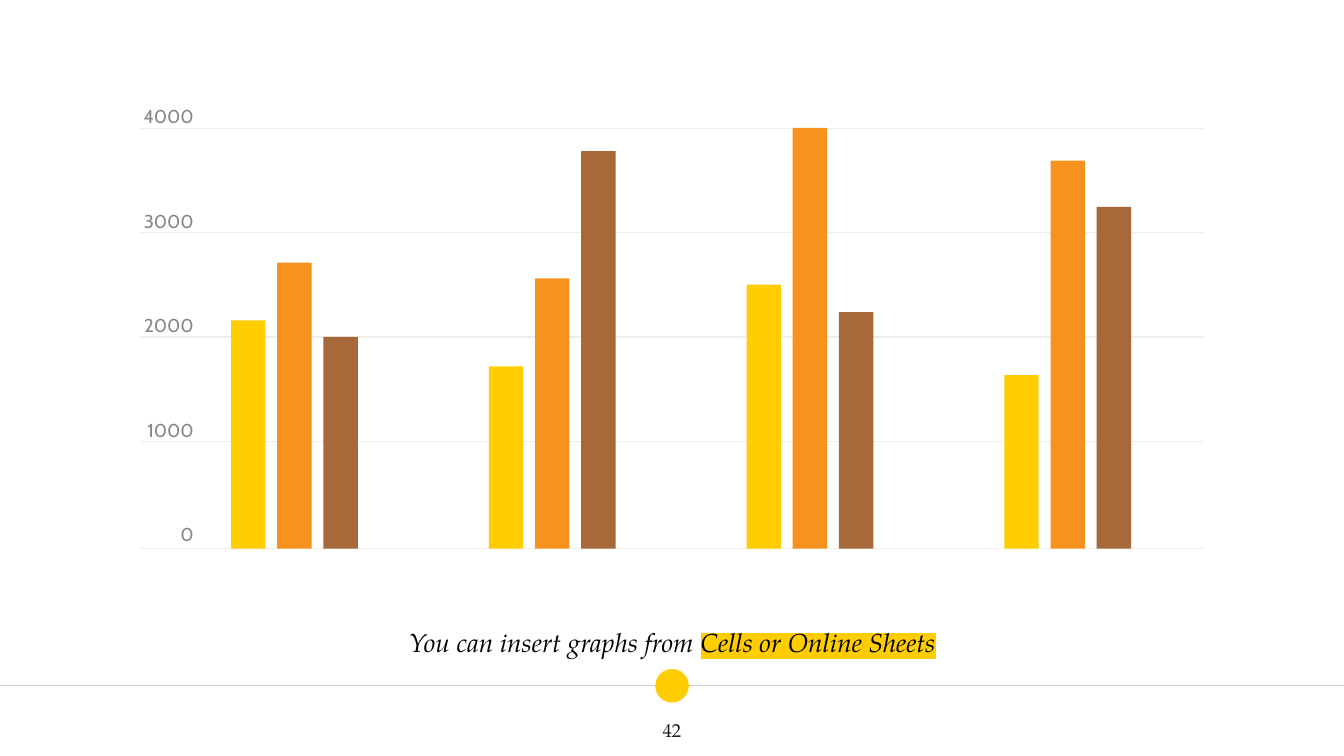
from dataclasses import dataclass

from lxml import etree
from pptx import Presentation
from pptx.dml.color import RGBColor
from pptx.enum.shapes import MSO_CONNECTOR, MSO_SHAPE
from pptx.enum.text import MSO_ANCHOR, PP_ALIGN
from pptx.oxml.ns import qn
from pptx.slide import Slide
from pptx.util import Pt

STRAIGHT = MSO_CONNECTOR.STRAIGHT
RECTANGLE, OVAL = MSO_SHAPE.RECTANGLE, MSO_SHAPE.OVAL
TOP, MIDDLE, BOTTOM = MSO_ANCHOR.TOP, MSO_ANCHOR.MIDDLE, MSO_ANCHOR.BOTTOM
CENTER, RIGHT = PP_ALIGN.CENTER, PP_ALIGN.RIGHT


@dataclass(frozen=True)
class Theme:
    yellow: str = "FFCD00"
    orange: str = "F6921D"
    brown: str = "A7693A"
    grid: str = "F0EEE9"
    rule: str = "CCCCCC"
    axis_text: str = "8A8682"
    caption_text: str = "000000"
    page_text: str = "1D1D1B"
    serif: str = "TeX Gyre Pagella"
    sans: str = "Cabin"
    caption_size: float = 14
    small_size: float = 10
    line_width: float = 0.75


@dataclass(frozen=True)
class Box:
    left: float
    top: float
    width: float
    height: float

    def lengths(self) -> tuple[Pt, Pt, Pt, Pt]:
        return Pt(self.left), Pt(self.top), Pt(self.width), Pt(self.height)


@dataclass(frozen=True)
class Series:
    color: str
    values: tuple[int, ...]


@dataclass(frozen=True)
class Line:
    text: str
    highlighted: str = ""
    before: float = 0
    after: float = 0


THEME = Theme()
SLIDE_WIDTH, SLIDE_HEIGHT = 720, 405
FOOTER_Y = 367.4

SERIES = (
    Series(THEME.yellow, (2170, 1735, 2510, 1650)),
    Series(THEME.orange, (2720, 2570, 4000, 3690)),
    Series(THEME.brown, (2015, 3780, 2250, 3250)),
)
AXIS_MAX = 4000
BASELINE, CHART_TOP = 294, 68.6
FIRST_BAR_LEFT, BAR_WIDTH = 123.75, 18.45
SERIES_STEP, GROUP_STEP = 24.75, 138.1
GRID_LEFT, GRID_RIGHT = 75, 645
GRID_YS = (68.75, 124.7, 180.6, 236.5, 293.75)
LABEL_GAP = 44


def add_rule(slide: Slide, left: float, right: float, y: float, color: str) -> None:
    rule = slide.shapes.add_connector(STRAIGHT, Pt(left), Pt(y), Pt(right), Pt(y))
    rule.line.color.rgb = RGBColor.from_string(color)
    rule.line.width = Pt(THEME.line_width)
    etree.SubElement(rule.element.spPr, qn("a:effectLst"))


def add_filled(slide: Slide, preset: MSO_SHAPE, box: Box, color: str) -> None:
    """Add a borderless shape in one colour."""
    shape = slide.shapes.add_shape(preset, *box.lengths())
    shape.shadow.inherit = False
    shape.fill.solid()
    shape.fill.fore_color.rgb = RGBColor.from_string(color)
    shape.line.fill.background()


def add_text(slide: Slide, box: Box, lines: list[Line], *, font: str, size: float,
             color: str, align: PP_ALIGN = CENTER, anchor: MSO_ANCHOR = MIDDLE,
             inset: float = 7.2, italic: bool = False) -> None:
    frame = slide.shapes.add_textbox(*box.lengths()).text_frame
    frame.word_wrap = True
    frame.vertical_anchor = anchor
    frame.margin_left = frame.margin_right = Pt(inset)
    frame.margin_top = frame.margin_bottom = Pt(inset)
    for index, line in enumerate(lines):
        paragraph = frame.add_paragraph() if index else frame.paragraphs[0]
        paragraph.alignment = align
        paragraph.space_before = Pt(line.before)
        paragraph.space_after = Pt(line.after)
        for words in filter(None, (line.text, line.highlighted)):
            run = paragraph.add_run()
            run.text = words
            run.font.name = font
            run.font.size = Pt(size)
            run.font.italic = italic
            run.font.color.rgb = RGBColor.from_string(color)
        if line.highlighted:
            highlight = etree.Element(qn("a:highlight"))
            etree.SubElement(highlight, qn("a:srgbClr"), val=THEME.yellow)
            run.font._element.find(qn("a:solidFill")).addnext(highlight)


def add_footer(slide: Slide) -> None:
    add_rule(slide, 0, SLIDE_WIDTH, FOOTER_Y, THEME.rule)
    add_filled(slide, OVAL, Box(351, FOOTER_Y - 9, 18, 18), THEME.yellow)
    add_text(slide, Box(157, 318.4, 406.5, 41),
             [Line("You can insert graphs from ", "Cells or Online Sheets")],
             font=THEME.serif, size=THEME.caption_size, color=THEME.caption_text,
             anchor=BOTTOM, italic=True)
    add_text(slide, Box(338.4, 376.6, 43.2, 28.8), [Line("42")],
             font=THEME.serif, size=THEME.small_size, color=THEME.page_text)


def add_axis(slide: Slide) -> None:
    for y in GRID_YS:
        add_rule(slide, GRID_LEFT, GRID_RIGHT, y, THEME.grid)
    labels = [Line(str(value), before=LABEL_GAP if value < AXIS_MAX else 0,
                   after=0 if value else LABEL_GAP)
              for value in range(AXIS_MAX, -1, -1000)]
    add_text(slide, Box(GRID_LEFT, 56.2, 28.8, 238.3), labels,
             font=THEME.sans, size=THEME.small_size, color=THEME.axis_text,
             align=RIGHT, anchor=TOP, inset=0)


def add_bars(slide: Slide) -> None:
    for position, series in enumerate(SERIES):
        for group, value in enumerate(series.values):
            left = FIRST_BAR_LEFT + group * GROUP_STEP + position * SERIES_STEP
            height = (BASELINE - CHART_TOP) * value / AXIS_MAX
            bar = Box(left, BASELINE - height, BAR_WIDTH, height)
            add_filled(slide, RECTANGLE, bar, series.color)


def main() -> None:
    presentation = Presentation()
    presentation.slide_width = Pt(SLIDE_WIDTH)
    presentation.slide_height = Pt(SLIDE_HEIGHT)
    slide = presentation.slides.add_slide(presentation.slide_layouts[6])
    add_footer(slide)
    add_axis(slide)
    add_bars(slide)
    presentation.save("out.pptx")


if __name__ == "__main__":
    main()
